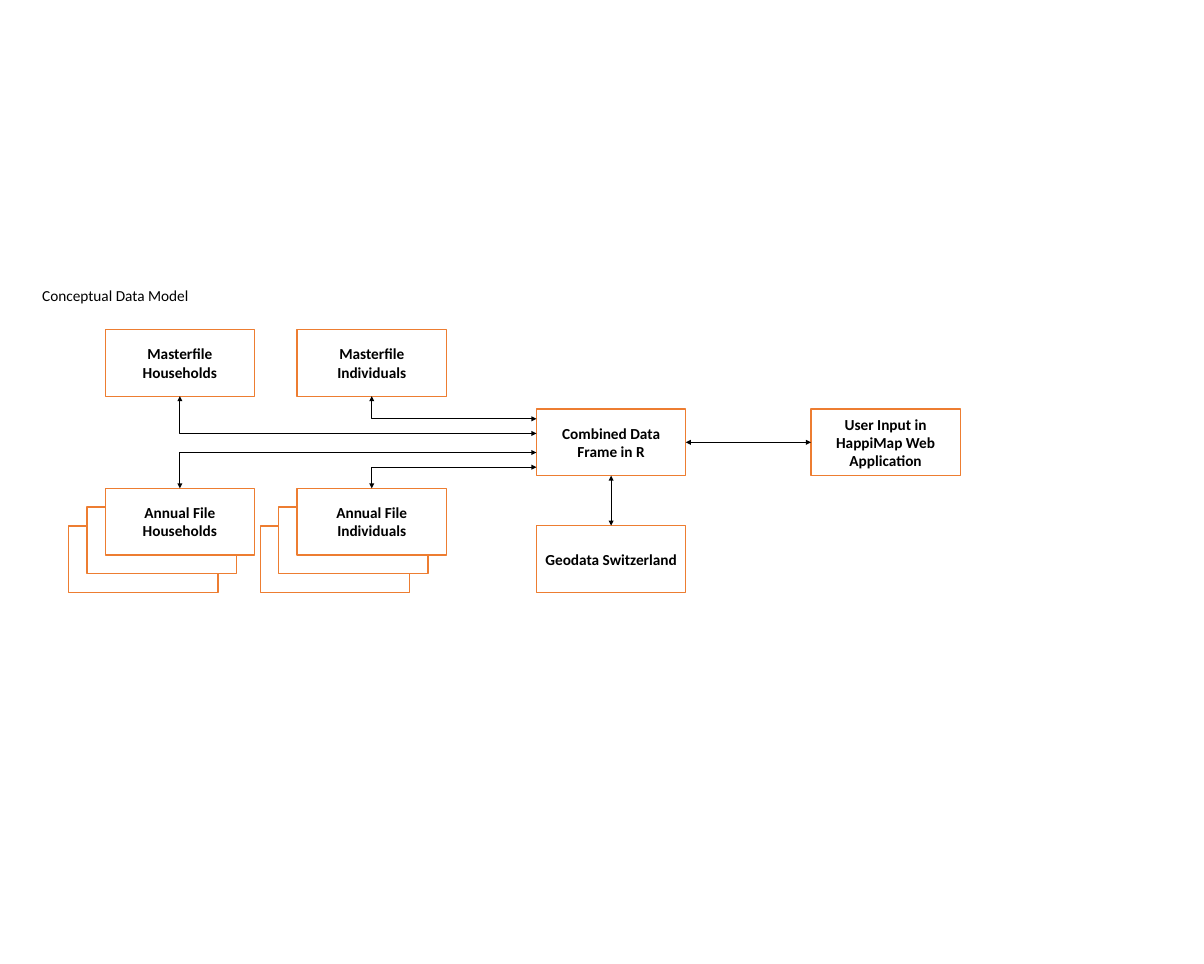
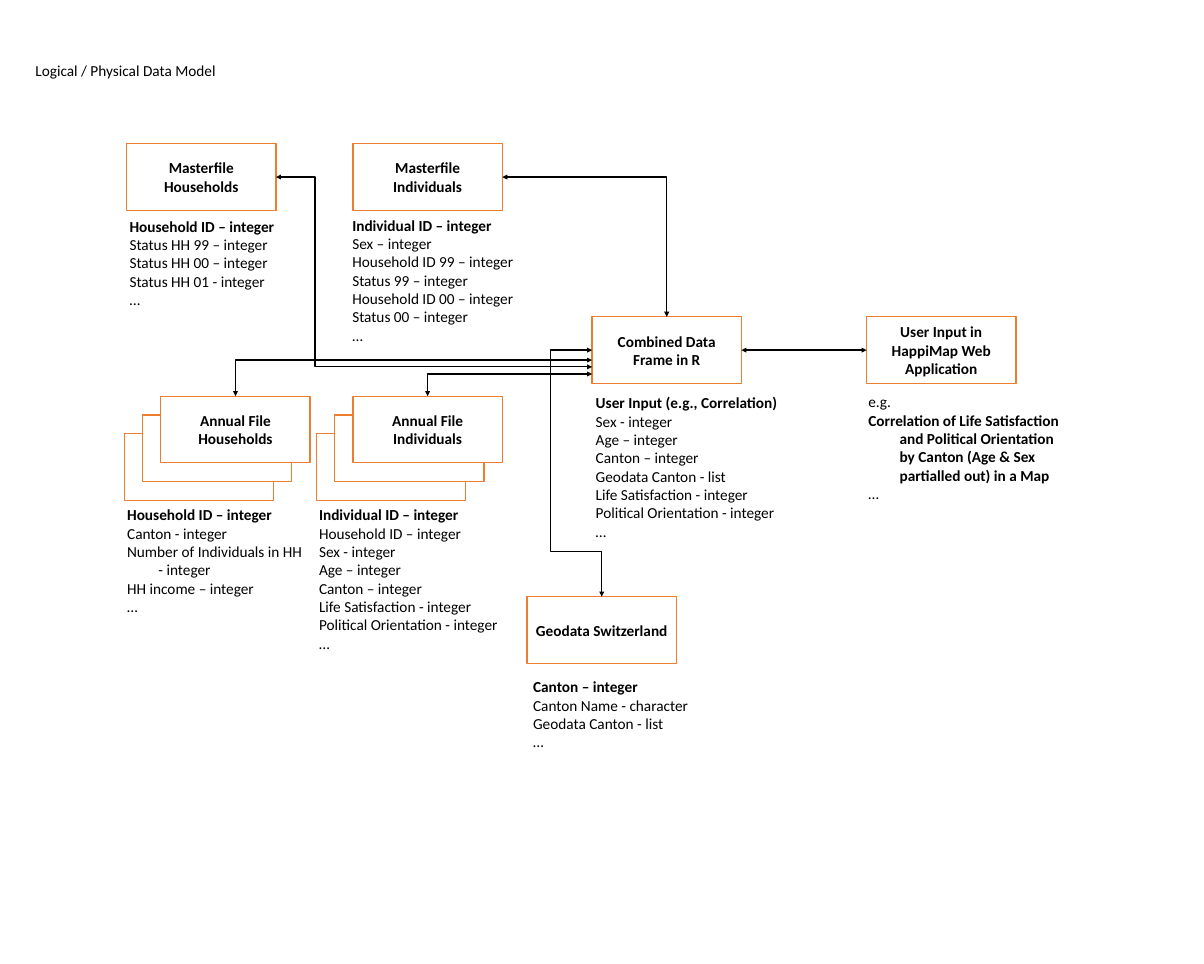
from lxml.etree import SubElement
from pptx import Presentation
from pptx.dml.color import RGBColor
from pptx.enum.shapes import MSO_CONNECTOR, MSO_SHAPE
from pptx.enum.text import MSO_ANCHOR, PP_ALIGN
from pptx.oxml.ns import qn
from pptx.util import Cm, Pt

WIDE, HIGH = 6.2, 2.77
MID_X, MID_Y = WIDE / 2, HIGH / 2
USER_GAP = 11.4
STEP_X, STEP_Y = 0.76, 0.78
ROW = 0.77


def color(code):
    return RGBColor.from_string(code)


def write(par, text, size=18, bold=False, ink="000000", align=PP_ALIGN.LEFT, indent=0):
    par.alignment = align
    if indent:
        par._p.get_or_add_pPr().set("marL", str(Cm(indent)))
    run = par.add_run()
    run.text = text
    font = run.font
    font.name, font.size, font.bold = "Calibri", Pt(size), bold
    font.color.rgb = color(ink)


class Board:
    """Draws data model diagrams in one shared style."""

    paper, edge, ink, weight = "FFFFFF", "ED7D31", "000000", 1.5

    def __init__(self):
        self.deck = Presentation()
        self.deck.slide_width, self.deck.slide_height = Cm(50), Cm(40.05)

    def start(self, title, x, y):
        self.slide = self.deck.slides.add_slide(self.deck.slide_layouts[6])
        self.shapes = self.slide.shapes
        self.note([title], x, y, head=False)

    def box(self, text, x, y):
        box = self.shapes.add_shape(MSO_SHAPE.RECTANGLE, Cm(x), Cm(y), Cm(WIDE), Cm(HIGH))
        box.shadow.inherit = False
        box.fill.solid()
        box.fill.fore_color.rgb = color(self.paper)
        box.line.color.rgb = color(self.edge)
        box.line.width = Pt(self.weight)
        if text:
            frame = box.text_frame
            frame.word_wrap = True
            frame.vertical_anchor = MSO_ANCHOR.MIDDLE
            write(frame.paragraphs[0], text, bold=True, ink=self.ink, align=PP_ALIGN.CENTER)

    def stack(self, text, x, y):
        for back in (2, 1, 0):
            self.box("" if back else text, x - back * STEP_X, y + back * STEP_Y)

    def note(self, lines, x, y, wide=8.1, head=True, bold=(), inset=()):
        area = self.shapes.add_textbox(Cm(x), Cm(y), Cm(wide), Cm(len(lines) * ROW + 0.25))
        frame = area.text_frame
        frame.word_wrap = True
        for row, text in enumerate(lines):
            par = frame.add_paragraph() if row else frame.paragraphs[0]
            write(par, text, bold=row in bold or (head and row == 0), ink=self.ink,
                  indent=1.3 if row in inset else 0)

    def heads(self, shape):
        shape.line.color.rgb = color(self.ink)
        shape.line.width = Pt(self.weight)
        line = shape.line._get_or_add_ln()
        for end in ("a:headEnd", "a:tailEnd"):
            SubElement(line, qn(end), type="triangle")

    def arrow(self, x1, y1, x2, y2):
        link = self.shapes.add_connector(
            MSO_CONNECTOR.STRAIGHT, Cm(x1), Cm(y1), Cm(x2), Cm(y2))
        self.heads(link)
        SubElement(link._element.spPr, qn("a:effectLst"))

    def route(self, *points):
        first, *rest = [(Cm(x), Cm(y)) for x, y in points]
        build = self.shapes.build_freeform(*first)
        build.add_line_segments(rest, close=False)
        bend = build.convert_to_shape()
        bend.shadow.inherit = False
        bend.fill.background()
        self.heads(bend)

    def model(self, hub, masters, files, geo):
        x, y = hub
        self.box("Combined Data Frame in R", x, y)
        self.box("User Input in HappiMap Web Application", x + USER_GAP, y)
        self.arrow(x + WIDE, y + MID_Y, x + USER_GAP, y + MID_Y)
        for kind, master, file in zip(("Households", "Individuals"), masters, files):
            self.box(f"Masterfile {kind}", *master)
            self.stack(f"Annual File {kind}", *file)
        self.box("Geodata Switzerland", *geo)

    def drop(self, box, low, hub_x, y):
        x = box[0] + MID_X
        self.route((x, box[1] + (HIGH if low else 0)), (x, y), (hub_x, y))


def concept(board):
    board.start("Conceptual Data Model", 1.5, 11.76)
    hub, geo = (22.28, 16.99), (22.28, 21.84)
    masters = [(4.37, 13.69), (12.34, 13.69)]
    files = [(x, 20.29) for x, y in masters]
    board.model(hub, masters, files, geo)
    for box, y in zip(masters, (18.01, 17.4)):
        board.drop(box, True, hub[0], y)
    for box, y in zip(files, (18.8, 19.41)):
        board.drop(box, False, hub[0], y)
    board.arrow(hub[0] + MID_X, hub[1] + HIGH, geo[0] + MID_X, geo[1])


def logic(board):
    board.start("Logical / Physical Data Model", 1.22, 2.44)
    hub, geo = (24.59, 13.16), (21.89, 24.79)
    masters = [(5.26, 5.97), (14.66, 5.97)]
    files = [(6.68, 16.46), (14.66, 16.46)]
    board.model(hub, masters, files, geo)
    for box, y in zip(files, (14.96, 15.54)):
        board.drop(box, False, hub[0], y)
    house, person = [(x + WIDE, y + MID_Y) for x, y in masters]
    board.route(house, (13.08, house[1]), (13.08, 15.24), (hub[0], 15.24))
    board.route(person, (27.69, person[1]), (27.69, hub[1]))
    entry = hub[1] + MID_Y
    geo_x = geo[0] + MID_X
    board.route((geo_x, geo[1]), (geo_x, 22.91), (22.86, 22.91), (22.86, entry), (hub[0], entry))

    board.note(["Household ID – integer", "Status HH 99 – integer", "Status HH 00 – integer",
                "Status HH 01 - integer", "…"], 5.13, 8.89)
    board.note(["Individual ID – integer", "Sex – integer", "Household ID 99 – integer",
                "Status 99 – integer", "Household ID 00 – integer", "Status 00 – integer", "…"],
               14.38, 8.84)
    board.note(["Household ID – integer", "Canton - integer", "Number of Individuals in HH",
                "- integer", "HH income – integer", "…"], 5.03, 20.88, inset=(3,))
    board.note(["Individual ID – integer", "Household ID – integer", "Sex - integer",
                "Age – integer", "Canton – integer", "Life Satisfaction - integer",
                "Political Orientation - integer", "…"], 13, 20.88)
    board.note(["User Input (e.g., Correlation)", "Sex - integer", "Age – integer",
                "Canton – integer", "Geodata Canton - list", "Life Satisfaction - integer",
                "Political Orientation - integer", "…"], 24.49, 16.23)
    board.note(["e.g.", "Correlation of Life Satisfaction", "and Political Orientation",
                "by Canton (Age & Sex", "partialled out) in a Map", "…"],
               35.81, 16.18, wide=8.8, head=False, bold=(1, 2, 3, 4), inset=(2, 3, 4))
    board.note(["Canton – integer", "Canton Name - character", "Geodata Canton - list", "…"],
               21.89, 28.02)


board = Board()
concept(board)
logic(board)
board.deck.save("out.pptx")
